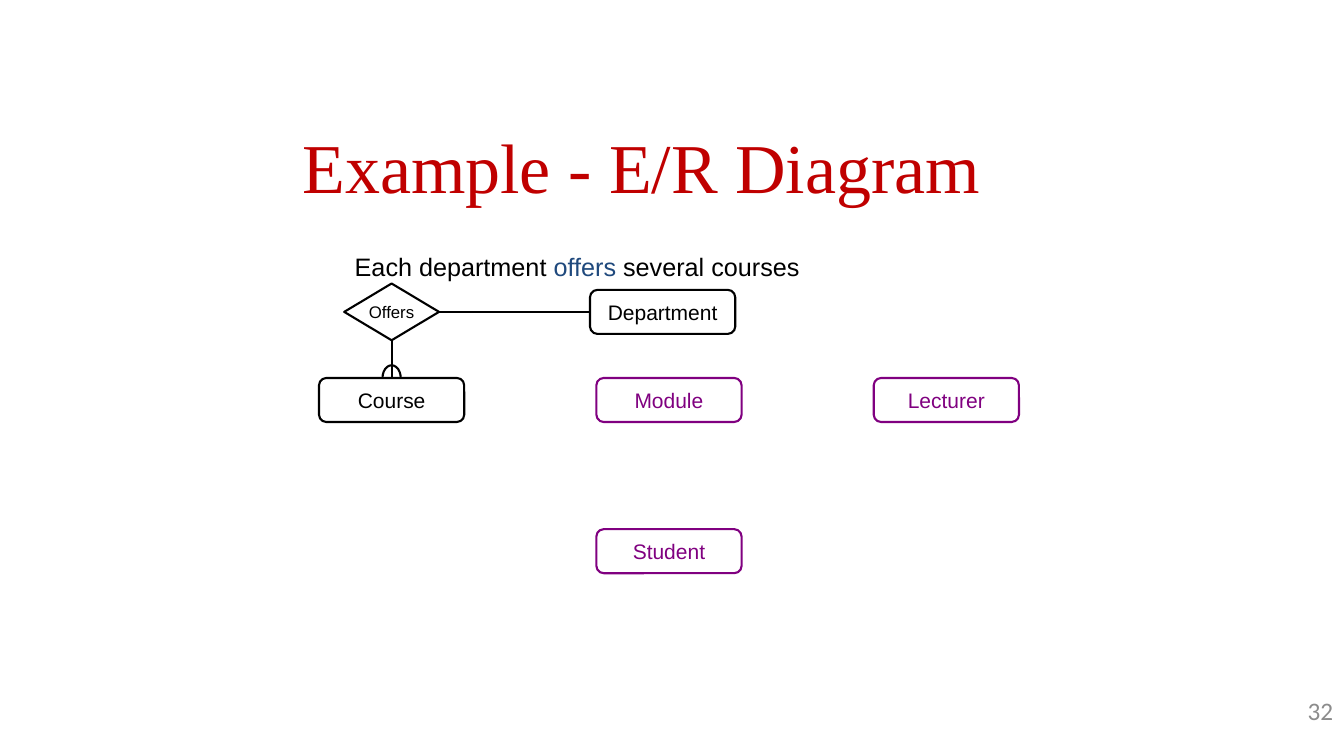
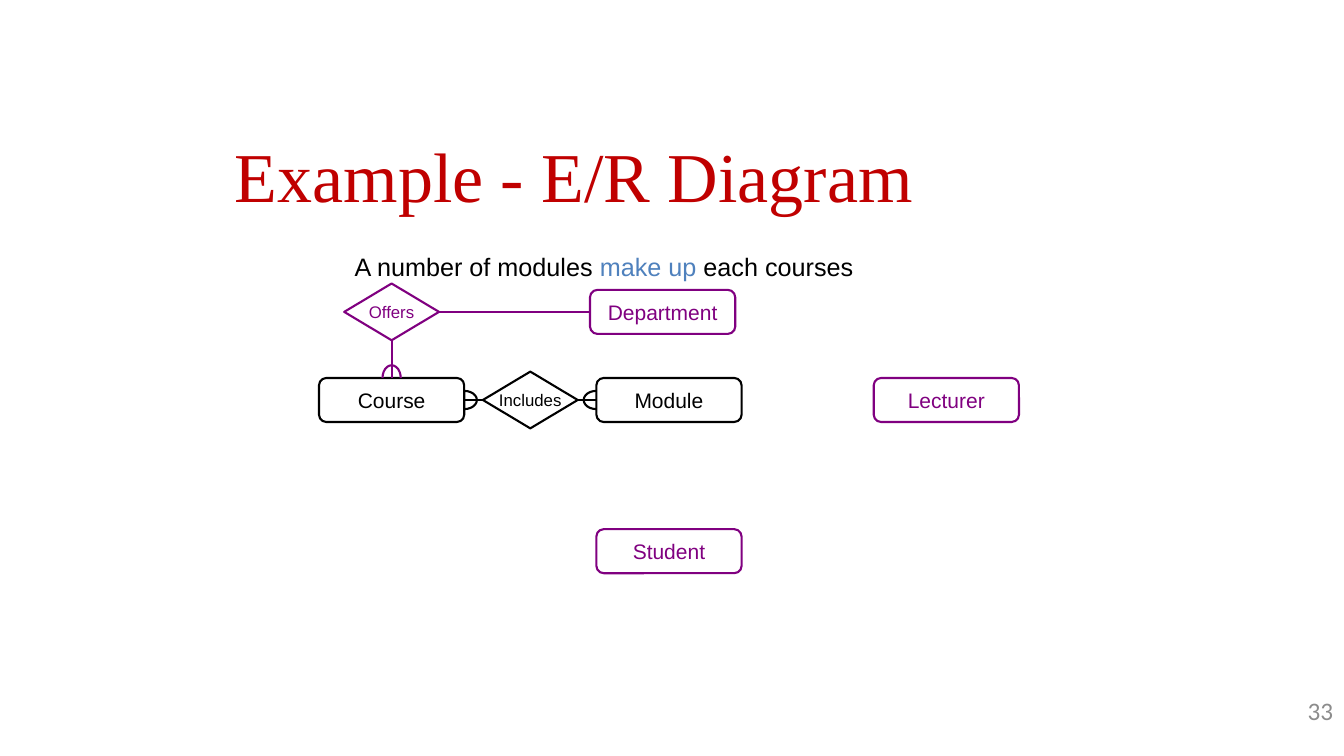
from lxml import etree
from pptx import Presentation
from pptx.dml.color import RGBColor
from pptx.enum.shapes import MSO_CONNECTOR, MSO_SHAPE
from pptx.enum.text import MSO_ANCHOR, MSO_AUTO_SIZE, PP_ALIGN
from pptx.oxml.ns import qn
from pptx.util import Cm, Pt

BOX, RHOMB, ARC = MSO_SHAPE.ROUNDED_RECTANGLE, MSO_SHAPE.DIAMOND, MSO_SHAPE.ARC
LEFT, MID, RIGHT = PP_ALIGN.LEFT, PP_ALIGN.CENTER, PP_ALIGN.RIGHT
TOP, CENTRE = MSO_ANCHOR.TOP, MSO_ANCHOR.MIDDLE
FIXED = MSO_AUTO_SIZE.NONE
STRAIGHT = MSO_CONNECTOR.STRAIGHT

HUES = {"title": "C00000", "page": "8C8C8C", "new": "000000",
        "rest": "800080", "navy": "1F497D", "blue": "4F81BD"}

# Grid of centres and sizes, in cm
COLS = [9.87 + 6.99 * i for i in range(3)]
ROWS = [7.86, 10.08, 13.89]
GAP = (COLS[0] + COLS[1]) / 2
BOX_SIZE, RHOMB_SIZE = (3.66, 1.11), (2.39, 1.43)
BOW_LONG, BOW_WIDE = 0.64, 0.46

# Name: kind, centre, size, font size
NODES = {
    "Module": (BOX, COLS[1], ROWS[1], BOX_SIZE, 15),
    "Course": (BOX, COLS[0], ROWS[1], BOX_SIZE, 15),
    "Department": (BOX, 16.7, ROWS[0], BOX_SIZE, 15),
    "Student": (BOX, COLS[1], ROWS[2], BOX_SIZE, 15),
    "Lecturer": (BOX, COLS[2], ROWS[1], BOX_SIZE, 15),
    "Includes": (RHOMB, GAP, ROWS[1], RHOMB_SIZE, 12),
    "Offers": (RHOMB, COLS[0], ROWS[0], RHOMB_SIZE, 12),
}

# Link: entity, its side, diamond, its side, whether a "many" bow is drawn
LINKS = [
    ("Department", 1, "Offers", 3, False),
    ("Course", 0, "Offers", 2, True),
    ("Course", 3, "Includes", 1, True),
    ("Module", 1, "Includes", 3, True),
]

# Bow start and end angles by side of the entity
ANGLES = {0: (180, 0), 1: (90, 270), 3: (270, 90)}

SLIDES = [
    {"page": "32", "title": (7.62, 3.1, 22.23), "new": {"Course", "Department", "Offers"},
     "skip": {"Includes"},
     "text": [("Each department ", "new"), ("offers", "navy"), (" several courses", "new")]},
    {"page": "33", "title": (5.92, 3.33, 22.66), "new": {"Course", "Module", "Includes"},
     "skip": set(),
     "text": [("A number of modules ", "new"), ("make up", "blue"), (" each courses", "new")]},
]


def write(shape, runs, font, size, align=LEFT, anchor=TOP, pad=None, wrap=True):
    frame = shape.text_frame
    frame.word_wrap, frame.vertical_anchor, frame.auto_size = wrap, anchor, FIXED
    if pad is not None:
        frame.margin_left = frame.margin_right = Cm(pad)
        frame.margin_top = frame.margin_bottom = Cm(pad)
    para = frame.paragraphs[0]
    para.alignment = align
    for text, hue in runs:
        run = para.add_run()
        run.text = text
        run.font.name, run.font.size = font, Pt(size)
        run.font.color.rgb = RGBColor.from_string(HUES[hue])


def draw(slide, kind, x, y, size, hue):
    wide, high = size
    shape = slide.shapes.add_shape(kind, Cm(x - wide / 2), Cm(y - high / 2),
                                   Cm(wide), Cm(high))
    shape.shadow.inherit = False
    shape.fill.background()
    shape.line.color.rgb = RGBColor.from_string(HUES[hue])
    shape.line.width = Pt(1.5)
    return shape


deck = Presentation()
deck.slide_width, deck.slide_height = Cm(33.87), Cm(19.05)

for data in SLIDES:
    slide = deck.slides.add_slide(deck.slide_layouts[5])

    # Title
    left, top, wide = data["title"]
    title = slide.shapes.title
    title.left, title.top, title.width, title.height = Cm(left), Cm(top), Cm(wide), Cm(4.27)
    write(title, [("Example - E/R Diagram", "title")], "Times New Roman", 50, pad=0)

    # Page number
    page = slide.shapes.add_textbox(Cm(31.9), Cm(17.53), Cm(1.7), Cm(1.32))
    write(page, [(data["page"], "page")], "Calibri", 18, RIGHT, pad=0)

    # Entities and relations
    nodes, hues = {}, {}
    for name, (kind, x, y, size, points) in NODES.items():
        if name in data["skip"]:
            continue
        hues[name] = "new" if name in data["new"] else "rest"
        nodes[name] = draw(slide, kind, x, y, size, hues[name])
        write(nodes[name], [(name, hues[name])], "Arial", points, MID, CENTRE, wrap=False)

    # Links, with a bow on the "many" side
    for name, side, rhomb, end, many in LINKS:
        if rhomb not in nodes:
            continue
        line = slide.shapes.add_connector(STRAIGHT, 0, 0, 0, 0)
        line.begin_connect(nodes[name], side)
        line.end_connect(nodes[rhomb], end)
        line.line.color.rgb = RGBColor.from_string(HUES[hues[rhomb]])
        line.line.width = Pt(1.5)
        etree.SubElement(line.element.spPr, qn("a:effectLst"))
        if many:
            size = (BOW_WIDE, BOW_LONG) if side == 0 else (BOW_LONG, BOW_WIDE)
            bow = draw(slide, ARC, line.begin_x / Cm(1), line.begin_y / Cm(1),
                       size, hues[rhomb])
            # Angles are stored in 60000ths of a degree, scaled by 100000
            for i, angle in enumerate(ANGLES[side]):
                bow.adjustments[i] = angle * 0.6

    # Sentence
    note = slide.shapes.add_textbox(Cm(8.69), Cm(6.2), Cm(16.5), Cm(1.02))
    write(note, data["text"], "Arial", 18)

deck.save("out.pptx")
